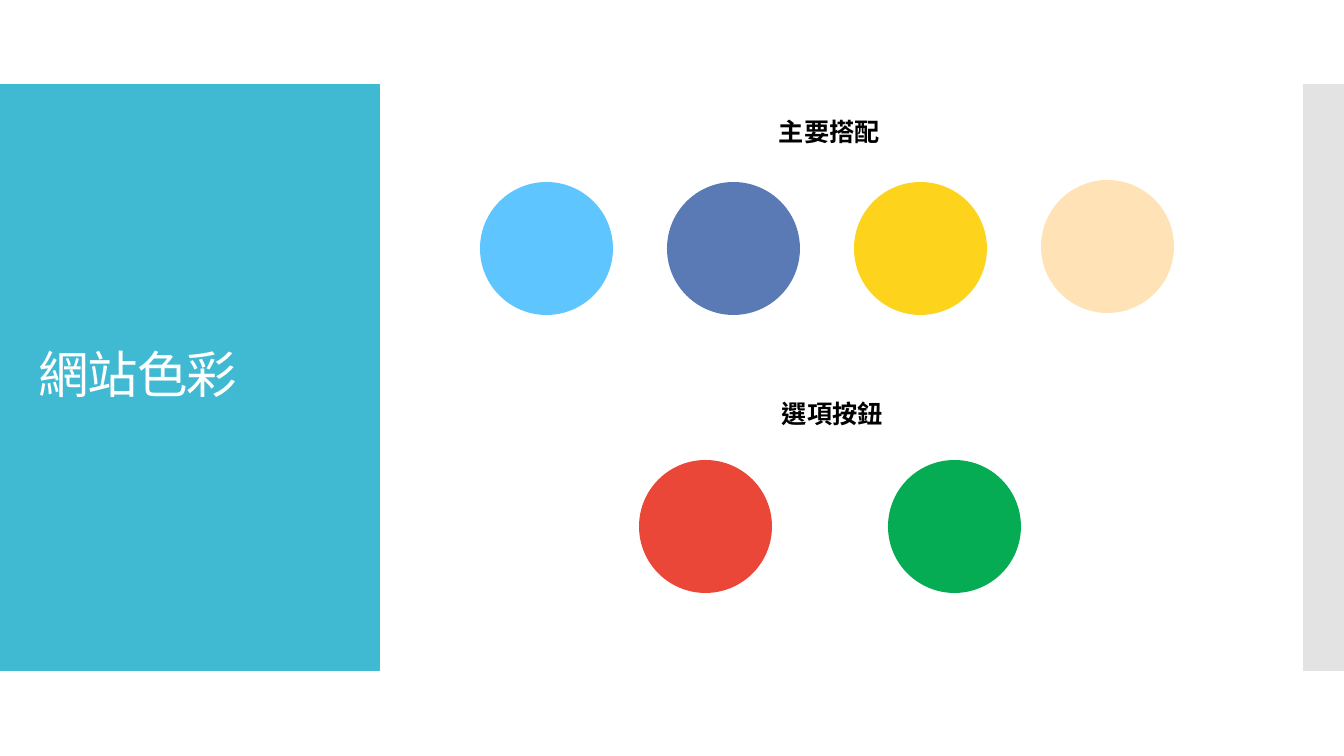
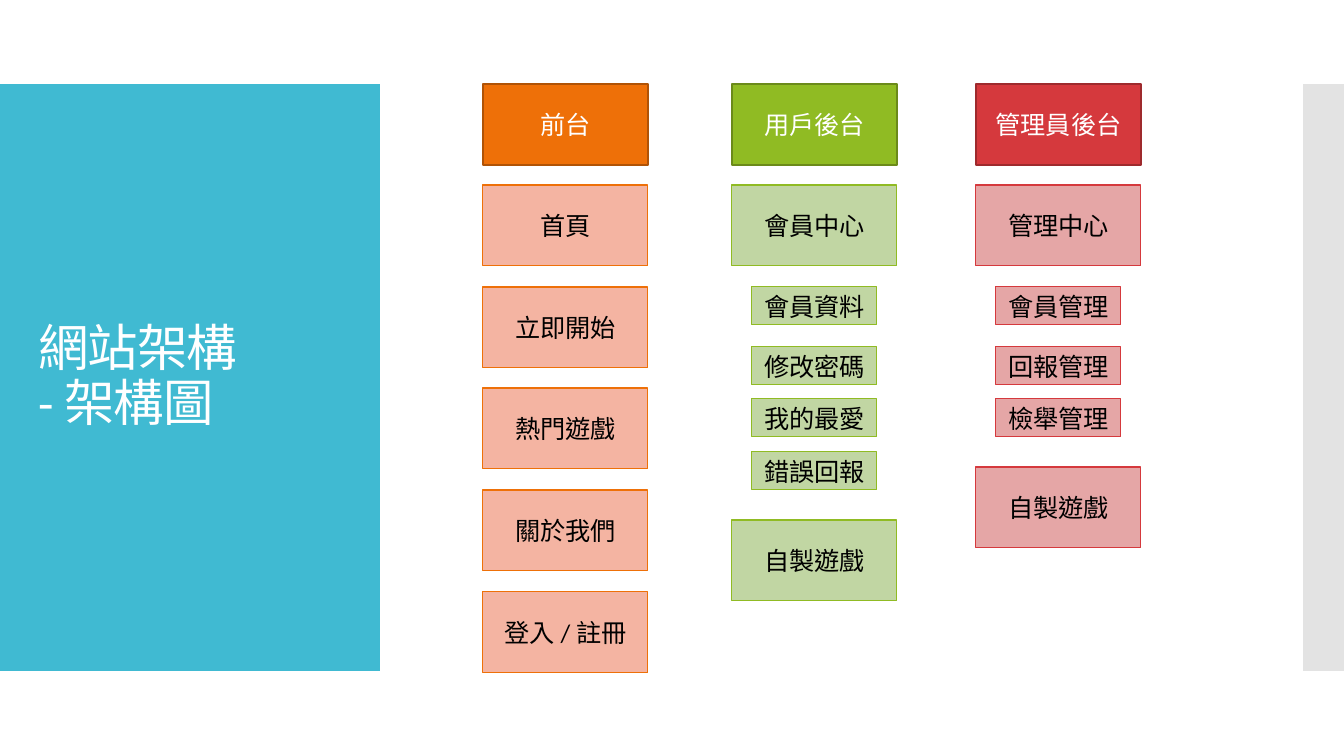
"""Build two slides on a website's colours and its site structure."""
import lxml.etree
import pptx
import pptx.dml.color
import pptx.enum.lang
import pptx.enum.shapes
import pptx.enum.text
import pptx.oxml.ns
import pptx.util

PX = 914400 / 100.8
COLORS = {
    "band": "40BAD2", "edge": "C8C8C8", "white": "FFFFFF", "black": "000000",
    "sky": "5EC5FF", "indigo": "5A7AB5", "yellow": "FDD31C", "peach": "FFE2B6",
    "stop": "EA4738", "go": "05AC54",
    "orange": "EE7008", "orange_dark": "B05306", "orange_light": "F4B4A2",
    "green": "90BB23", "green_dark": "6B8A1A", "green_light": "C1D6A3",
    "red": "D5393D", "red_dark": "9E2A2D", "red_light": "E5A6A6",
}


def add_block(slide, kind, box, fill, line=None, line_width=0.75):
    shape = slide.shapes.add_shape(kind, *[round(value * PX) for value in box])
    shape.shadow.inherit = False
    shape.fill.solid()
    shape.fill.fore_color.rgb = pptx.dml.color.RGBColor.from_string(COLORS[fill])
    if line:
        shape.line.color.rgb = pptx.dml.color.RGBColor.from_string(COLORS[line])
        shape.line.width = pptx.util.Pt(line_width)
    else:
        shape.line.fill.background()
    return shape


def write_text(shape, text, size, color, alignment, bold=False):
    shape.text_frame.text = text
    paragraph = shape.text_frame.paragraphs[0]
    paragraph.alignment = alignment
    for run in paragraph.runs:
        run.font.name = "Calibri"
        run.font.size = pptx.util.Pt(size)
        run.font.bold = bold
        run.font.color.rgb = pptx.dml.color.RGBColor.from_string(COLORS[color])
        run.font.language_id = pptx.enum.lang.MSO_LANGUAGE_ID.TRADITIONAL_CHINESE
    return paragraph


RECTANGLE = pptx.enum.shapes.MSO_SHAPE.RECTANGLE
OVAL = pptx.enum.shapes.MSO_SHAPE.OVAL
LEFT = pptx.enum.text.PP_ALIGN.LEFT
CENTER = pptx.enum.text.PP_ALIGN.CENTER
MIDDLE = pptx.enum.text.MSO_ANCHOR.MIDDLE

presentation = pptx.Presentation()
presentation.slide_width = round(1344 * PX)
presentation.slide_height = round(756 * PX)
layout = presentation.slide_layouts[5]
color_slide = presentation.slides.add_slide(layout)
structure_slide = presentation.slides.add_slide(layout)

layout_title = layout.placeholders[0]
layout_title.left, layout_title.top = round(28 * PX), round(124 * PX)
layout_title.width, layout_title.height = round(325 * PX), round(507 * PX)
layout_title.text_frame.vertical_anchor = MIDDLE

title_band = add_block(color_slide, RECTANGLE, (0, 84, 380, 587), "band")
edge_band = add_block(color_slide, RECTANGLE, (1303, 84, 41, 587), "edge")
edge_color = edge_band.element.find(".//" + pptx.oxml.ns.qn("a:srgbClr"))
lxml.etree.SubElement(edge_color, pptx.oxml.ns.qn("a:alpha"), val="50000")
for index, band in enumerate((title_band, edge_band)):
    band.element.nvSpPr.cNvPr.set("id", str(20 + index))
    layout.shapes.element.insert(2 + index, band.element)

for slide, title in ((color_slide, "網站色彩"), (structure_slide, "網站架構\v- 架構圖")):
    paragraph = write_text(slide.shapes.title, title, 36, "white", LEFT)
    paragraph.line_spacing = 0.9
    slide.shapes.title.text_frame.auto_size = pptx.enum.text.MSO_AUTO_SIZE.NONE
    for run in paragraph.runs:
        run.font._element.set("spc", "-60")

palettes = [
    ("主要搭配", 769, 111, 480, 187,
     [("sky", 182), ("indigo", 182), ("yellow", 182), ("peach", 180)]),
    ("選項按鈕", 772, 393, 639, 249, [("stop", 460), ("go", 460)]),
]
for label, label_left, label_top, first_left, pitch, circles in palettes:
    label_box = color_slide.shapes.add_textbox(
        *[round(value * PX) for value in (label_left, label_top, 122, 40)])
    label_box.text_frame.word_wrap = False
    write_text(label_box, label, 18, "black", LEFT, bold=True)
    for index, (color, top) in enumerate(circles):
        add_block(color_slide, OVAL, (first_left + pitch * index, top, 133, 133), color)

BOX_WIDTH, BOX_HEIGHT = 165, 81
ITEM_WIDTH, ITEM_HEIGHT = 125, 38
ROW_TOPS = [84 + 508 * row // 5 for row in range(6)]
ITEM_TOPS = [287, 347, 399, 452]
columns = [
    (483, "orange", ["前台", "首頁", "立即開始", "熱門遊戲", "關於我們", "登入 / 註冊"], [], None),
    (732, "green", ["用戶後台", "會員中心"],
     ["會員資料", "修改密碼", "我的最愛", "錯誤回報"], "自製遊戲"),
    (976, "red", ["管理員後台", "管理中心"],
     ["會員管理", "回報管理", "檢舉管理"], "自製遊戲"),
]
for left, color, names, items, last_name in columns:
    boxes = [(name, left, top, BOX_WIDTH, BOX_HEIGHT) for name, top in zip(names, ROW_TOPS)]
    item_left = left + (BOX_WIDTH - ITEM_WIDTH) // 2
    boxes += [(item, item_left, top, ITEM_WIDTH, ITEM_HEIGHT)
              for item, top in zip(items, ITEM_TOPS)]
    if last_name:
        last_top = ITEM_TOPS[len(items) - 1] + ITEM_HEIGHT + 30
        boxes.append((last_name, left, last_top, BOX_WIDTH, BOX_HEIGHT))
    for index, (name, *box) in enumerate(boxes):
        if index == 0:
            shape = add_block(structure_slide, RECTANGLE, box, color, color + "_dark", 0.85)
        else:
            shape = add_block(structure_slide, RECTANGLE, box, color + "_light", color)
        shape.text_frame.vertical_anchor = MIDDLE
        write_text(shape, name, 18, "black" if index else "white", CENTER)

presentation.save("out.pptx")
